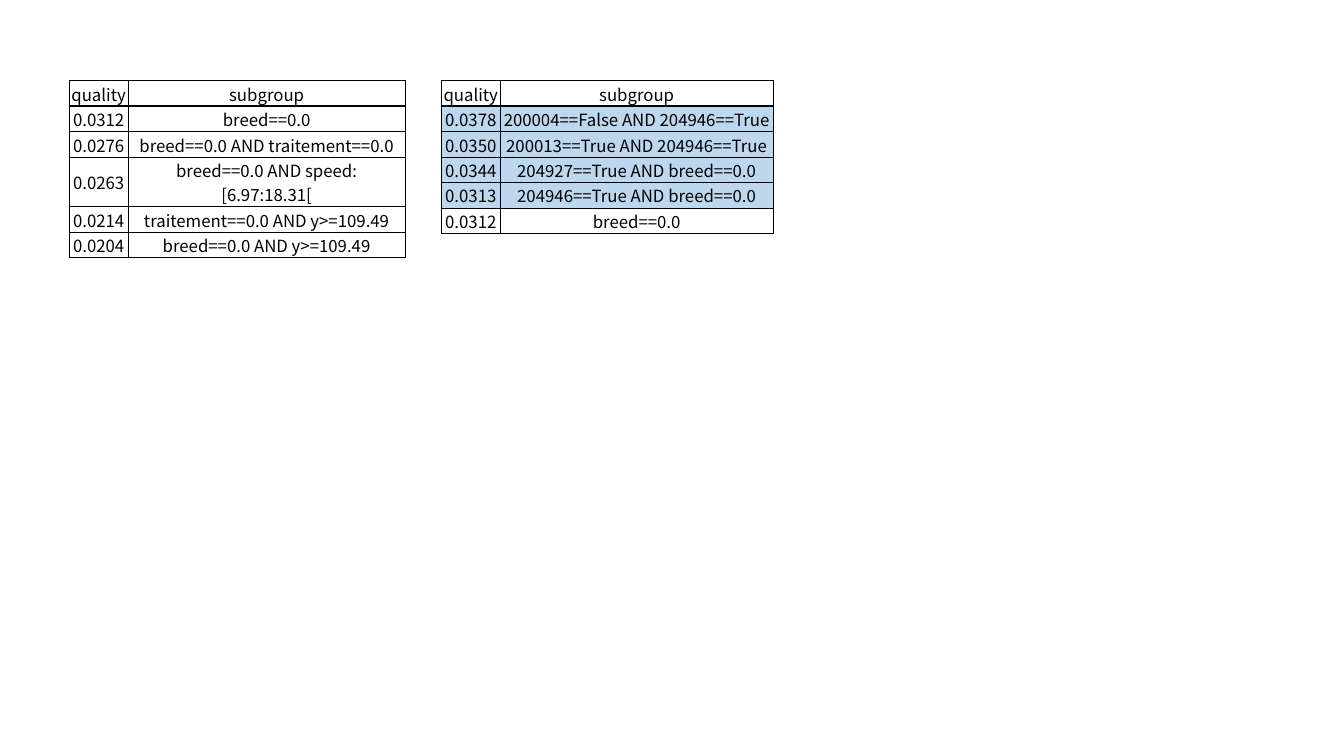
from dataclasses import dataclass

from lxml.etree import SubElement
from pptx import Presentation
from pptx.dml.color import RGBColor
from pptx.enum.text import MSO_ANCHOR as Anchor, PP_ALIGN as Align
from pptx.oxml.ns import qn
from pptx.slide import Slide
from pptx.table import _Cell as Cell
from pptx.util import Pt

BLACK = RGBColor(0x00, 0x00, 0x00)
HIGHLIGHT = RGBColor(0xBD, 0xD7, 0xEE)
FONT = "Noto Sans CJK TC"

TOP = 57.6
QUALITY_WIDTH = 42
HEADER_HEIGHT, ROW_HEIGHT = 17.2, 16.6
INSET = 0.75
THIN, THICK = 0.5, 1
HEADER = ("quality", "subgroup")


@dataclass(frozen=True)
class Subgroup:
    quality: str
    rule: str
    highlighted: bool = False


@dataclass(frozen=True)
class Ranking:
    left: float
    rule_width: float
    subgroups: tuple[Subgroup, ...]


RANKINGS = (
    Ranking(49.5, 198, (
        Subgroup("0.0312", "breed==0.0"),
        Subgroup("0.0276", "breed==0.0 AND traitement==0.0"),
        Subgroup("0.0263", "breed==0.0 AND speed: [6.97:18.31["),
        Subgroup("0.0214", "traitement==0.0 AND y>=109.49"),
        Subgroup("0.0204", "breed==0.0 AND y>=109.49"),
    )),
    Ranking(315.3, 195, (
        Subgroup("0.0378", "200004==False AND 204946==True", True),
        Subgroup("0.0350", "200013==True AND 204946==True", True),
        Subgroup("0.0344", "204927==True AND breed==0.0", True),
        Subgroup("0.0313", "204946==True AND breed==0.0", True),
        Subgroup("0.0312", "breed==0.0"),
    )),
)


def set_borders(cell: Cell, widths: dict[str, float]) -> None:
    """Add the borders, which must come before the fill in the cell XML."""
    properties = cell._tc.get_or_add_tcPr()
    for position, (side, width) in enumerate(widths.items()):
        line = SubElement(properties, qn(f"a:ln{side}"), w=str(Pt(width)))
        color = SubElement(SubElement(line, qn("a:solidFill")), qn("a:srgbClr"))
        color.set("val", str(BLACK))
        properties.insert(position, line)


def write_cell(cell: Cell, text: str, highlighted: bool) -> None:
    cell.text = text
    cell.vertical_anchor = Anchor.MIDDLE
    cell.margin_left = cell.margin_right = cell.margin_top = Pt(INSET)
    cell.margin_bottom = Pt(0)
    paragraph = cell.text_frame.paragraphs[0]
    paragraph.alignment = Align.CENTER
    paragraph.font.name = FONT
    paragraph.font.size = Pt(12)
    paragraph.font.bold = False
    paragraph.font.color.rgb = BLACK
    if highlighted:
        cell.fill.solid()
        cell.fill.fore_color.rgb = HIGHLIGHT
    else:
        cell.fill.background()


def draw_ranking(slide: Slide, ranking: Ranking) -> None:
    rows = (Subgroup(*HEADER), *ranking.subgroups)
    widths = (QUALITY_WIDTH, ranking.rule_width)
    heights = [HEADER_HEIGHT] + [ROW_HEIGHT] * len(ranking.subgroups)
    table = slide.shapes.add_table(
        len(rows), len(widths), Pt(ranking.left), Pt(TOP),
        Pt(sum(widths)), Pt(sum(heights))).table
    table.first_row = table.horz_banding = False
    for column, width in zip(table.columns, widths):
        column.width = Pt(width)

    for r, (subgroup, height) in enumerate(zip(rows, heights)):
        table.rows[r].height = Pt(height)
        for c, text in enumerate((subgroup.quality, subgroup.rule)):
            cell = table.cell(r, c)
            write_cell(cell, text, subgroup.highlighted)
            # The header has a heavier outline, shared with the row below it
            set_borders(cell, {
                "L": THICK if r == 0 and c == 0 else THIN,
                "R": THICK if r == 0 and c == 1 else THIN,
                "T": THICK if r <= 1 else THIN,
                "B": THICK if r == 0 else THIN,
            })


def main() -> None:
    presentation = Presentation()
    presentation.slide_width, presentation.slide_height = Pt(960), Pt(540)
    slide = presentation.slides.add_slide(presentation.slide_layouts[6])
    for ranking in RANKINGS:
        draw_ranking(slide, ranking)
    presentation.save("out.pptx")


if __name__ == "__main__":
    main()
